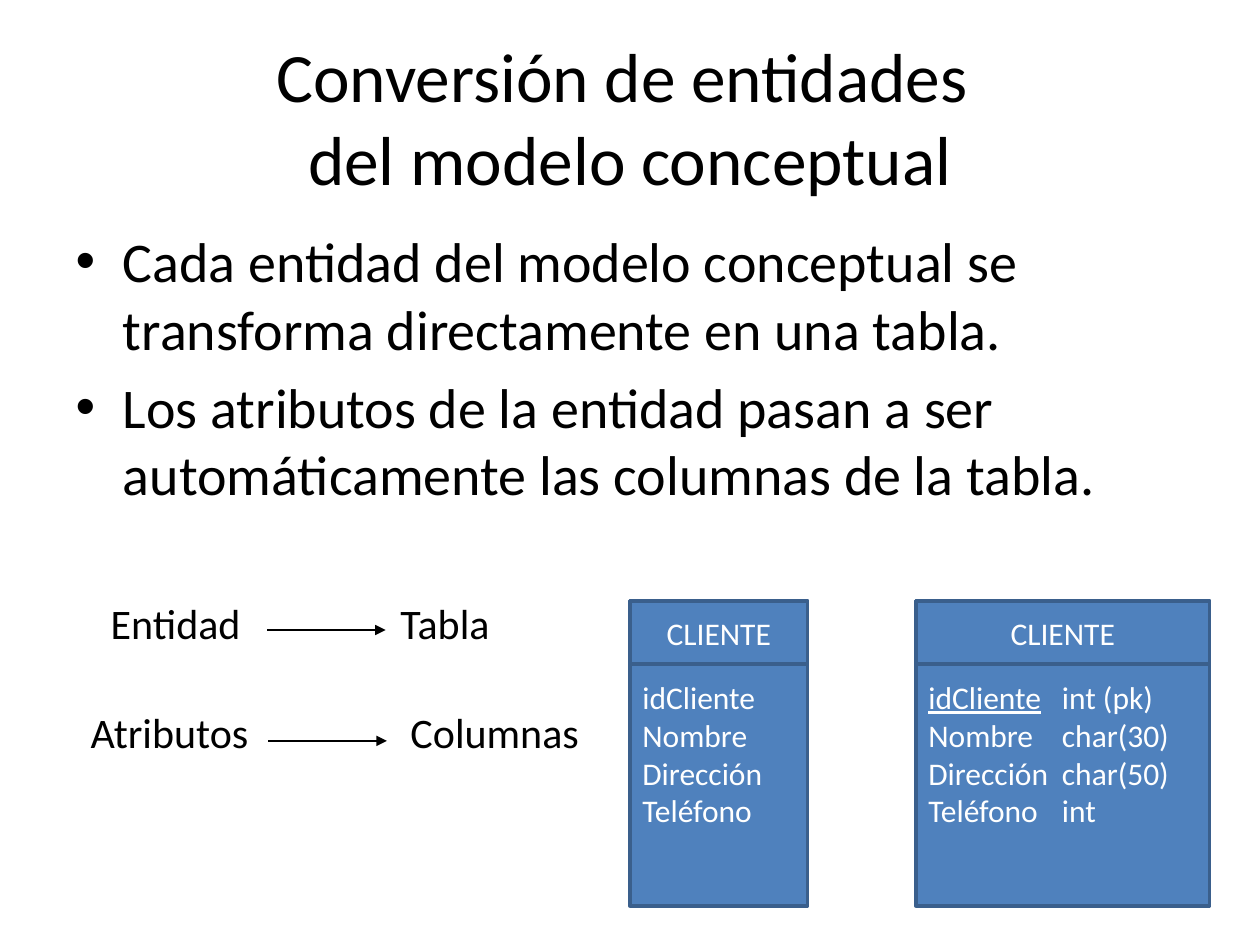
from lxml.etree import SubElement
from pptx import Presentation
from pptx.dml.color import RGBColor
from pptx.enum.shapes import MSO_CONNECTOR, MSO_SHAPE
from pptx.enum.text import MSO_ANCHOR, MSO_AUTO_SIZE, PP_ALIGN
from pptx.oxml.ns import qn
from pptx.util import Inches, Pt

BLACK = RGBColor(0x00, 0x00, 0x00)
WHITE = RGBColor(0xFF, 0xFF, 0xFF)
BLUE = RGBColor(0x4F, 0x81, 0xBD)
DARK_BLUE = RGBColor(0x3A, 0x5F, 0x8C)

TITLE_FONT = {"name": "Calibri", "size": Pt(39.6)}
BODY_FONT = {"name": "Calibri", "size": Pt(32)}
LABEL_FONT = {"name": "Calibri", "size": Pt(24)}
ENTITY_FONT = {"name": "Calibri", "size": Pt(18)}

HEADER_HEIGHT = 0.5
TYPE_COLUMN = 1.06


def format_font(font, values, color):
    for attribute, value in values.items():
        setattr(font, attribute, value)
    font.color.rgb = color


def place(shape, box):
    for side, length in zip(("left", "top", "width", "height"), box):
        setattr(shape, side, Inches(length))


def fill_placeholder(placeholder, box, paragraphs, font, anchor):
    place(placeholder, box)
    frame = placeholder.text_frame
    frame.text = "\n".join(paragraphs)
    frame.auto_size = MSO_AUTO_SIZE.NONE
    frame.vertical_anchor = anchor
    for paragraph in frame.paragraphs:
        for run in paragraph.runs:
            format_font(run.font, font, BLACK)


def add_label(slide, box, wording):
    label = slide.shapes.add_textbox(*map(Inches, box))
    frame = label.text_frame
    frame.word_wrap = False
    frame.auto_size = MSO_AUTO_SIZE.SHAPE_TO_FIT_TEXT
    frame.text = wording
    format_font(frame.paragraphs[0].runs[0].font, LABEL_FONT, BLACK)


def add_arrow(slide, left, y, length):
    arrow = slide.shapes.add_connector(
        MSO_CONNECTOR.STRAIGHT,
        Inches(left), Inches(y), Inches(left + length), Inches(y))
    arrow.line.color.rgb = BLACK
    arrow.line.width = Pt(0.75)
    SubElement(arrow.line._get_or_add_ln(), qn("a:tailEnd"), type="triangle")
    SubElement(arrow._element.spPr, qn("a:effectLst"))


def add_mapping(slide, concept_box, result_box, arrow_left, arrow_y, concept, result):
    """One row: conceptual term, arrow, relational term."""
    add_label(slide, concept_box, concept)
    add_label(slide, result_box, result)
    add_arrow(slide, arrow_left, arrow_y, 0.94)


def add_panel(slide, box, lines, alignment):
    panel = slide.shapes.add_shape(MSO_SHAPE.RECTANGLE, *map(Inches, box))
    panel.shadow.inherit = False
    panel.fill.solid()
    panel.fill.fore_color.rgb = BLUE
    panel.line.color.rgb = DARK_BLUE
    panel.line.width = Pt(2)
    frame = panel.text_frame
    frame.vertical_anchor = MSO_ANCHOR.MIDDLE
    frame.text = "\n".join(lines)
    for paragraph in frame.paragraphs:
        paragraph.alignment = alignment
        for run in paragraph.runs:
            format_font(run.font, ENTITY_FONT, WHITE)
    return frame


def add_entity(slide, box, name, attributes):
    left, top, width, height = box
    frame = add_panel(slide, box, attributes, PP_ALIGN.LEFT)
    add_panel(slide, (left, top, width, HEADER_HEIGHT), [name], PP_ALIGN.CENTER)
    return frame


def add_table_design(slide, box, name, columns):
    """Entity box with a column of types and an underlined primary key."""
    frame = add_entity(slide, box, name, [column for column, _ in columns])
    for paragraph, (_, data_type) in zip(frame.paragraphs, columns):
        tabs = SubElement(paragraph._p.get_or_add_pPr(), qn("a:tabLst"))
        SubElement(tabs, qn("a:tab"), pos=str(Inches(TYPE_COLUMN)), algn="l")
        type_run = paragraph.add_run()
        type_run.text = "\t" + data_type
        format_font(type_run.font, ENTITY_FONT, WHITE)
    frame.paragraphs[0].runs[0].font.underline = True


def build_slide(presentation):
    slide = presentation.slides.add_slide(presentation.slide_layouts[1])
    title, body = slide.placeholders
    fill_placeholder(title, (0.5, 0.3, 9, 1.25),
                     ["Conversión de entidades \vdel modelo conceptual"],
                     TITLE_FONT, MSO_ANCHOR.MIDDLE)
    fill_placeholder(body, (0.5, 1.75, 9, 2.47), [
        "Cada entidad del modelo conceptual se transforma directamente en una tabla.",
        "Los atributos de la entidad pasan a ser automáticamente las columnas de la tabla.",
    ], BODY_FONT, MSO_ANCHOR.TOP)

    add_mapping(slide, (0.78, 4.69, 1.31, 0.5), (3.08, 4.69, 1.01, 0.5),
                2.12, 5, "Entidad", "Tabla")
    add_mapping(slide, (0.62, 5.56, 1.52, 0.5), (3.16, 5.56, 1.63, 0.5),
                2.13, 5.88, "Atributos", "Columnas")

    columns = [("idCliente", "int (pk)"), ("Nombre", "char(30)"),
               ("Dirección", "char(50)"), ("Teléfono", "int")]
    add_table_design(slide, (7.27, 4.77, 2.33, 2.42), "CLIENTE", columns)
    add_entity(slide, (5, 4.77, 1.41, 2.42), "CLIENTE",
               [column for column, _ in columns])


def main():
    presentation = Presentation()
    presentation.slide_width = Inches(10)
    presentation.slide_height = Inches(7.5)
    build_slide(presentation)
    presentation.save("out.pptx")


if __name__ == "__main__":
    main()
